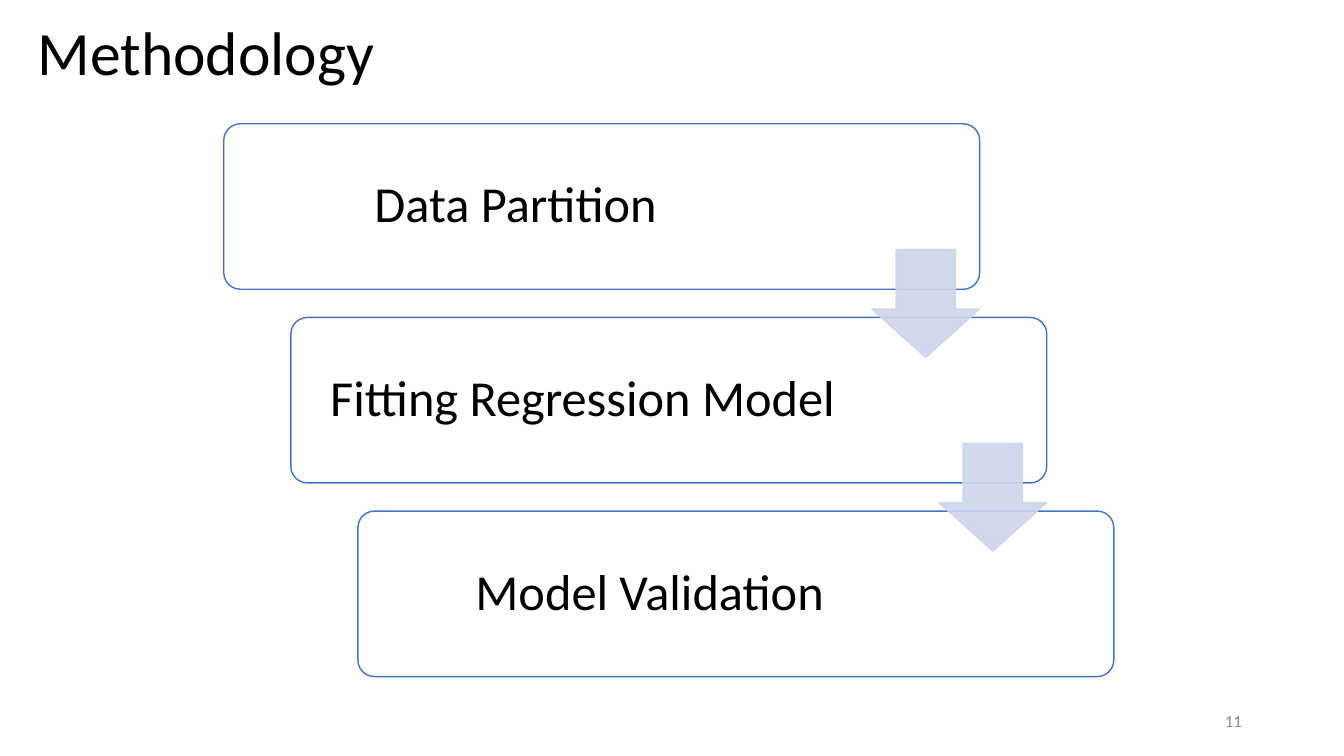
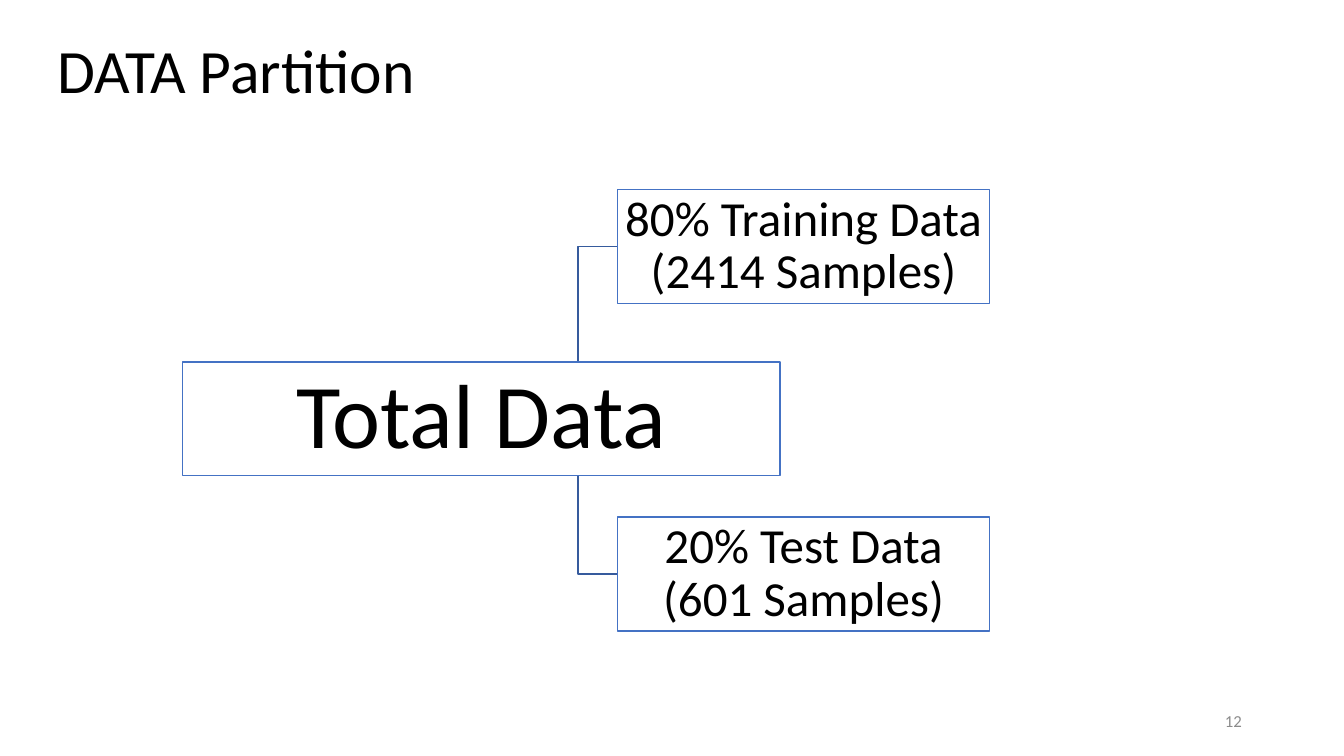
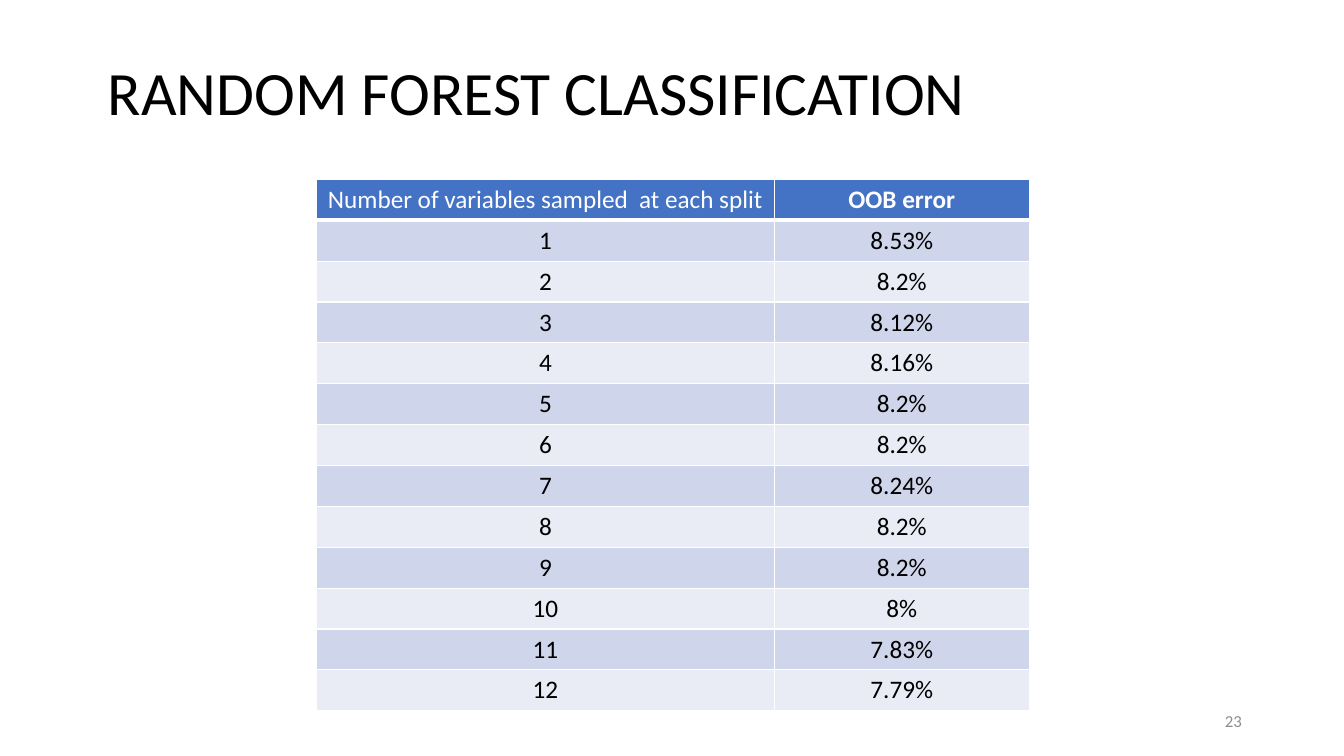
from lxml.etree import SubElement
from pptx import Presentation
from pptx.dml.color import RGBColor
from pptx.enum.shapes import MSO_CONNECTOR as Link, MSO_SHAPE as Shape
from pptx.enum.text import MSO_ANCHOR as Anchor, MSO_AUTO_SIZE as AutoSize, PP_ALIGN as Align
from pptx.oxml import parse_xml
from pptx.oxml.ns import nsdecls, qn
from pptx.util import Cm, Pt

# Shared style
FONT = "Calibri"
COLORS = {
    "text": "000000", "white": "FFFFFF", "number": "8C8C8C",
    "blue": "4472C4", "link": "365B9D",
    "arrow": "CFD5EA", "odd": "CFD5EA", "even": "E9EBF5",
}
TITLE_SIZE = 44
NUMBER_BOX = (23.93, 17.65, 7.62, 1.02)

# Content: lengths in centimetres
STEPS = ["Data Partition", "Fitting Regression Model", "Model Validation"]
STEP_BOX = (5.64, 3.12, 19.05, 4.17)
STEP_SHIFT = (1.69, 4.88)
STEP_INSETS = (0.38, 0.38, 4.72, 0.38)
ARROW_SIZE = 2.72
ARROW_DROP = 3.17

TOTAL = ("Total Data", (4.6, 9.12, 15.06, 2.87))
PARTS = [
    ("80% Training Data (2414 Samples)", (15.57, 4.78, 9.37, 2.87)),
    ("20% Test Data (601 Samples)", (15.57, 13.03, 9.37, 2.87)),
]
BRANCH_X = 13.56

HEADERS = ["Number of variables sampled  at each split", "OOB error"]
ERRORS = ["8.53%", "8.2%", "8.12%", "8.16%", "8.2%", "8.2%",
          "8.24%", "8.2%", "8.2%", "8%", "7.83%", "7.79%"]
TABLE_AT = (7.98, 4.52)
COLUMNS = (11.53, 6.43)
ROW_HEIGHT = 1.03


def color(name):
    return RGBColor.from_string(COLORS[name])


def write(frame, text, size, tint="text", align=Align.CENTER, spacing=None, bold=False):
    frame.text = text
    para = frame.paragraphs[0]
    para.alignment = align
    para.line_spacing = spacing
    for span in para.runs:
        font = span.font
        font.name, font.size, font.bold = FONT, Pt(size), bold
        font.color.rgb = color(tint)


def set_insets(frame, left, top, right, bottom):
    frame.margin_left, frame.margin_top = Cm(left), Cm(top)
    frame.margin_right, frame.margin_bottom = Cm(right), Cm(bottom)


def add_page(deck, title, number, at, spacing=0.9):
    page = deck.slides.add_slide(deck.slide_layouts[5])
    heading = page.shapes.title
    heading.left, heading.top, heading.width, heading.height = map(Cm, at)
    frame = heading.text_frame
    frame.auto_size = AutoSize.NONE
    frame.vertical_anchor = Anchor.TOP
    write(frame, title, TITLE_SIZE, align=Align.LEFT, spacing=spacing)

    frame = page.shapes.add_textbox(*map(Cm, NUMBER_BOX)).text_frame
    frame.word_wrap = True
    frame.vertical_anchor = Anchor.MIDDLE
    write(frame, str(number), 12, "number", Align.RIGHT)
    return page


def add_solid(page, kind, at, fill, line):
    box = page.shapes.add_shape(kind, *map(Cm, at))
    box.shadow.inherit = False
    box.fill.solid()
    box.fill.fore_color.rgb = color(fill)
    box.line.color.rgb = color(line)
    box.line.width = Pt(1)
    return box


def add_box(page, kind, at, text, size, insets):
    box = add_solid(page, kind, at, "white", "blue")
    frame = box.text_frame
    frame.word_wrap = True
    frame.vertical_anchor = Anchor.MIDDLE
    set_insets(frame, *insets)
    write(frame, text, size, spacing=0.9)
    return box


def add_arrow(page, at):
    arrow = add_solid(page, Shape.DOWN_ARROW, at, "arrow", "arrow")
    arrow.adjustments[0], arrow.adjustments[1] = 0.55, 0.45
    for tint in arrow._element.spPr.iter(qn("a:srgbClr")):
        SubElement(tint, qn("a:alpha"), val="90000")


def add_branch(page, start, end):
    branch = page.shapes.add_connector(Link.ELBOW, *map(Cm, start + end))
    branch.line.color.rgb = color("link")
    branch.line.width = Pt(1)
    SubElement(branch._element.spPr, qn("a:effectLst"))


def set_borders(cell, bottom):
    widths = {"lnL": 1, "lnR": 1, "lnT": 1, "lnB": bottom}
    for place, (side, width) in enumerate(widths.items()):
        border = parse_xml(
            f'<a:{side} {nsdecls("a")} w="{Pt(width)}"><a:solidFill>'
            f'<a:srgbClr val="{COLORS["white"]}"/></a:solidFill></a:{side}>')
        cell._tc.get_or_add_tcPr().insert(place, border)


def build_methodology(deck):
    page = add_page(deck, "Methodology", 11, (0.69, 0.43, 27.86, 1.96))
    left, top, width, height = STEP_BOX
    spots = [(left + i * STEP_SHIFT[0], top + i * STEP_SHIFT[1]) for i in range(len(STEPS))]
    for text, (x, y) in zip(STEPS, spots):
        box = add_box(page, Shape.ROUNDED_RECTANGLE, (x, y, width, height), text, 36, STEP_INSETS)
        box.adjustments[0] = 0.1
    for x, y in spots[:-1]:
        add_arrow(page, (x + width - ARROW_SIZE, y + ARROW_DROP, ARROW_SIZE, ARROW_SIZE))


def build_partition(deck):
    page = add_page(deck, "DATA Partition", 12, (1.19, 0.89, 27.86, 1.96))
    text, at = TOTAL
    start = (BRANCH_X, at[1] + at[3] / 2)
    # Branches lie behind the boxes
    for _, (left, top, _, height) in PARTS:
        add_branch(page, start, (left, top + height / 2))
    add_box(page, Shape.RECTANGLE, at, text, 65, [0.12] * 4)
    for text, at in PARTS:
        add_box(page, Shape.RECTANGLE, at, text, 35, [0.06] * 4)


def build_forest(deck):
    page = add_page(deck, "RANDOM FOREST CLASSIFICATION", 23, (2.46, 1.22, 25.43, 2.13), 1.0)
    rows = [HEADERS] + [[str(i), error] for i, error in enumerate(ERRORS, 1)]
    size = (sum(COLUMNS), ROW_HEIGHT * len(rows))
    table = page.shapes.add_table(len(rows), len(COLUMNS), *map(Cm, TABLE_AT + size)).table
    for column, width in zip(table.columns, COLUMNS):
        column.width = Cm(width)
    for i, texts in enumerate(rows):
        table.rows[i].height = Cm(ROW_HEIGHT)
        header = i == 0
        fill = "blue" if header else "odd" if i % 2 else "even"
        for j, text in enumerate(texts):
            cell = table.cell(i, j)
            cell.fill.solid()
            cell.fill.fore_color.rgb = color(fill)
            write(cell.text_frame, text, 18, "white" if header else "text",
                  bold=header and j == 1)
            set_borders(cell, 3 if header else 1)


def main():
    deck = Presentation()
    deck.slide_width, deck.slide_height = Cm(33.87), Cm(19.05)
    build_methodology(deck)
    build_partition(deck)
    build_forest(deck)
    deck.save("out.pptx")


if __name__ == "__main__":
    main()
